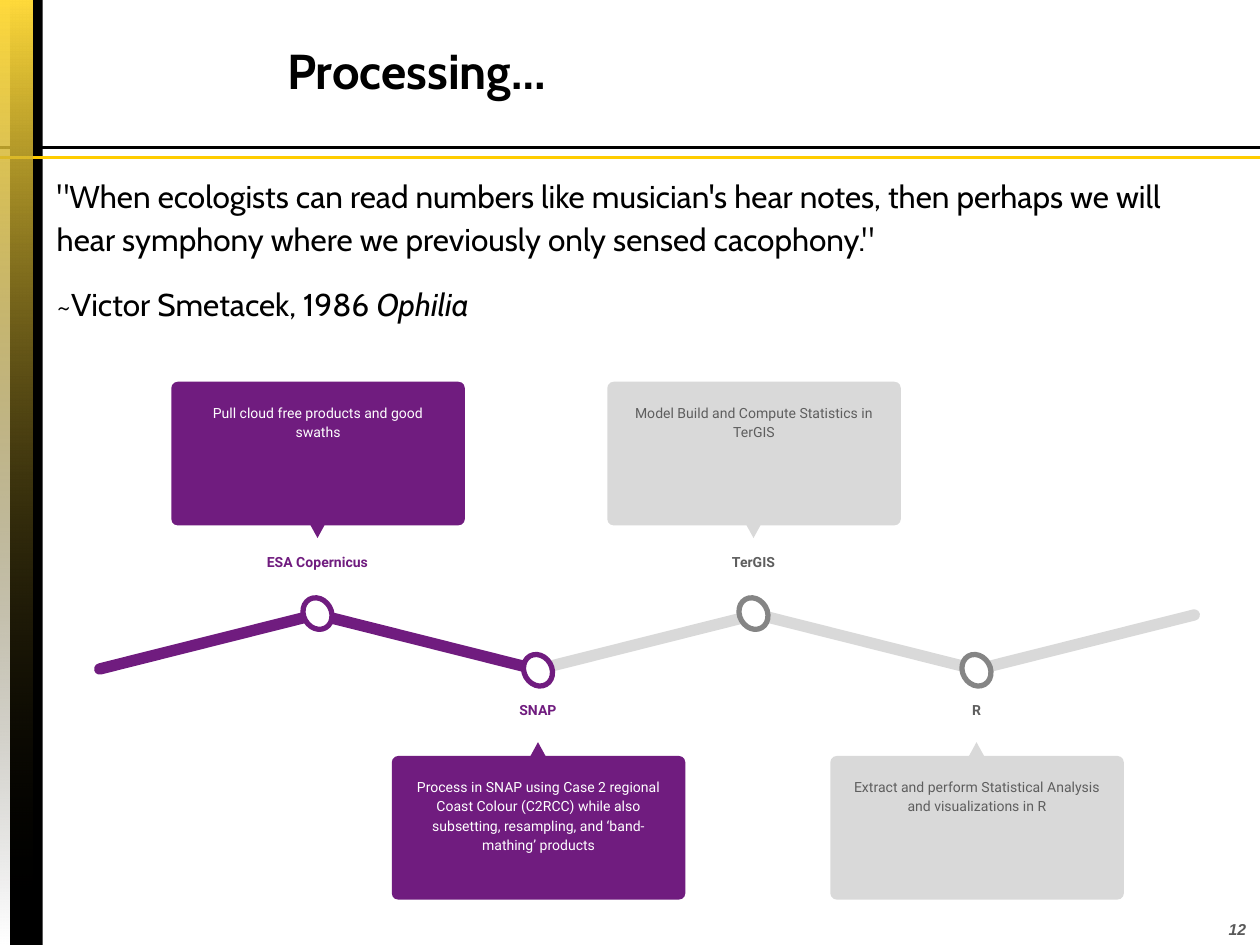
from dataclasses import dataclass

from pptx import Presentation
from pptx.dml.color import RGBColor
from pptx.enum import shapes, text
from pptx.oxml.ns import qn
from pptx.util import Inches, Pt
from lxml import etree

COLORS = {
    "black": "000000", "white": "FFFFFF", "gold": "FFCC00", "yellow": "FFDA3B",
    "purple": "701C7F", "light": "D9D9D9", "ring": "858585",
    "label": "5E5E5E", "number": "595959",
}
SHAPE = shapes.MSO_SHAPE
ALIGN = text.PP_ALIGN


@dataclass
class Style:
    fill: str
    ring: str
    label: str
    body: str


@dataclass
class Level:
    card: float
    pointer: float
    turn: float
    label: float
    node: float


@dataclass
class Step:
    center: float
    name: str
    detail: str
    style: Style
    level: Level
    label_width: float = 0.95


DONE = Style("purple", "purple", "purple", "white")
AHEAD = Style("light", "ring", "label", "label")
UPPER = Level(card=3.03, pointer=4.16, turn=180, label=4.27, node=4.74)
LOWER = Level(card=6, pointer=5.89, turn=0, label=5.45, node=5.19)

STEPS = [
    Step(2.52, "ESA Copernicus", "Pull cloud free products and good swaths",
         DONE, UPPER, 1.54),
    Step(4.27, "SNAP", "Process in SNAP using Case 2 regional Coast Colour (C2RCC) "
         "while also subsetting, resampling, and ‘band-mathing’ products", DONE, LOWER),
    Step(5.98, "TerGIS", "Model Build and Compute Statistics in TerGIS", AHEAD, UPPER),
    Step(7.75, "R", "Extract and perform Statistical Analysis and visualizations in R",
         AHEAD, LOWER),
]


def rgb(name: str) -> RGBColor:
    return RGBColor.from_string(COLORS[name])


def place(shape, left: float, top: float, width: float, height: float) -> None:
    shape.left, shape.top = Inches(left), Inches(top)
    shape.width, shape.height = Inches(width), Inches(height)


def add_span(para, words: str, font: str, size: float, color: str,
             bold: bool = False, italic: bool = False) -> None:
    span = para.add_run()
    span.text = words
    span.font.name, span.font.size = font, Pt(size)
    span.font.bold, span.font.italic = bold, italic
    span.font.color.rgb = rgb(color)


def set_frame(frame, inset: float, anchor=text.MSO_ANCHOR.TOP) -> None:
    frame.word_wrap = True
    frame.auto_size = text.MSO_AUTO_SIZE.NONE
    frame.vertical_anchor = anchor
    frame.margin_left = frame.margin_right = Inches(0.1)
    frame.margin_top = frame.margin_bottom = Inches(inset)


def add_block(parent, kind, left: float, top: float, width: float, height: float,
              fill: str, rotation: float = 0, ring: str = ""):
    block = parent.add_shape(kind, Inches(left), Inches(top), Inches(width), Inches(height))
    block.shadow.inherit = False
    block.rotation = rotation
    block.fill.solid()
    block.fill.fore_color.rgb = rgb(fill)
    if ring:
        block.line.color.rgb = rgb(ring)
        block.line.width = Pt(3)
    else:
        block.line.fill.background()
    return block


def add_caption(parent, left: float, top: float, width: float, height: float,
                words: str, color: str, bold: bool = False) -> None:
    box = parent.add_textbox(Inches(left), Inches(top), Inches(width), Inches(height))
    set_frame(box.text_frame, 0.1)
    para = box.text_frame.paragraphs[0]
    para.alignment, para.line_spacing, para.space_after = ALIGN.CENTER, 1.15, Pt(16)
    add_span(para, words, "Roboto", 8, color, bold)


def add_rule(page, top: float, color: str) -> None:
    rule = page.shapes.add_connector(shapes.MSO_CONNECTOR.STRAIGHT, 0, Inches(top),
                                     Inches(10), Inches(top))
    rule.line.color.rgb = rgb(color)
    rule.line.width = Pt(1.5)
    etree.SubElement(rule._element.spPr, qn("a:effectLst"))


def add_frame_art(page) -> None:
    add_block(page.shapes, SHAPE.RECTANGLE, 0.08, 0, 0.26, 7.5, "black")
    add_rule(page, 1.25, "gold")
    add_rule(page, 1.17, "black")
    # Yellow band fading to transparent black
    band = add_block(page.shapes, SHAPE.RECTANGLE, 0, 0, 0.26, 7.5, "yellow")
    band.fill.gradient()
    band.fill.gradient_angle = 270
    for stop, color in zip(band.fill.gradient_stops, ("yellow", "black")):
        stop.color.rgb = rgb(color)
    last_color = band._element.spPr.findall(".//" + qn("a:srgbClr"))[-1]
    etree.SubElement(last_color, qn("a:alpha")).set("val", "0")


def add_step(page, step: Step) -> None:
    group = page.shapes.add_group_shape().shapes
    style, level, center = step.style, step.level, step.center
    card = add_block(group, SHAPE.ROUNDED_RECTANGLE, center - 1.16, level.card,
                     2.33, 1.14, style.fill)
    card.adjustments[0] = 0.045
    add_caption(group, center - 1.1, level.card + 0.06, 2.21, 1.01, step.detail, style.body)
    add_block(group, SHAPE.ISOSCELES_TRIANGLE, center - 0.06, level.pointer, 0.12, 0.11,
              style.fill, level.turn)
    add_caption(group, center - step.label_width / 2, level.label, step.label_width, 0.45,
                step.name, style.label, bold=True)
    add_block(group, SHAPE.OVAL, center - 0.11, level.node, 0.22, 0.26, "white",
              330.2, style.ring)


def main() -> None:
    deck = Presentation()
    deck.slide_width, deck.slide_height = Inches(10), Inches(7.5)
    page = deck.slides.add_slide(deck.slide_layouts[1])
    add_frame_art(page)

    # Title
    title = page.shapes.title
    place(title, 2.18, -0.03, 7.75, 1.17)
    set_frame(title.text_frame, 0.05, text.MSO_ANCHOR.MIDDLE)
    para = title.text_frame.paragraphs[0]
    para.alignment = ALIGN.LEFT
    add_span(para, "Processing…", "Cabin", 28, "black", bold=True)

    # Quotation
    body = page.placeholders[1]
    place(body, 0.35, 1.31, 9.03, 6.19)
    frame = body.text_frame
    set_frame(frame, 0.05)
    quote, source = frame.paragraphs[0], frame.add_paragraph()
    for para, before in ((quote, 0), (source, 12)):
        props = para._p.get_or_add_pPr()
        props.set("marL", "0")
        props.set("indent", "0")
        etree.SubElement(props, qn("a:buNone"))
        para.line_spacing, para.space_before = 1.15, Pt(before)
    add_span(quote, "\"When ecologists can read numbers like musician's hear notes, then "
             "perhaps we will hear symphony where we previously only sensed cacophony.\"",
             "Cabin", 18, "black")
    add_span(source, "~Victor Smetacek, 1986 ", "Cabin", 18, "black")
    add_span(source, "Ophilia", "Cabin", 18, "black", italic=True)

    # Zigzag path, then the steps on its corners
    for index in range(5):
        bar = add_block(page.shapes, SHAPE.ROUNDED_RECTANGLE, 0.72 + 1.745 * index, 5.05,
                        1.85, 0.09, "purple" if index < 2 else "light",
                        14.1 if index % 2 else 345.9)
        bar.adjustments[0] = 0.5
    for step in STEPS:
        add_step(page, step)

    # Page number
    number = page.shapes.add_textbox(Inches(6.83), Inches(7.25), Inches(3.16), Inches(0.25))
    set_frame(number.text_frame, 0.05)
    para = number.text_frame.paragraphs[0]
    para.alignment = ALIGN.RIGHT
    add_span(para, "12", "Arial", 9, "number", bold=True, italic=True)

    deck.save("out.pptx")


if __name__ == "__main__":
    main()
